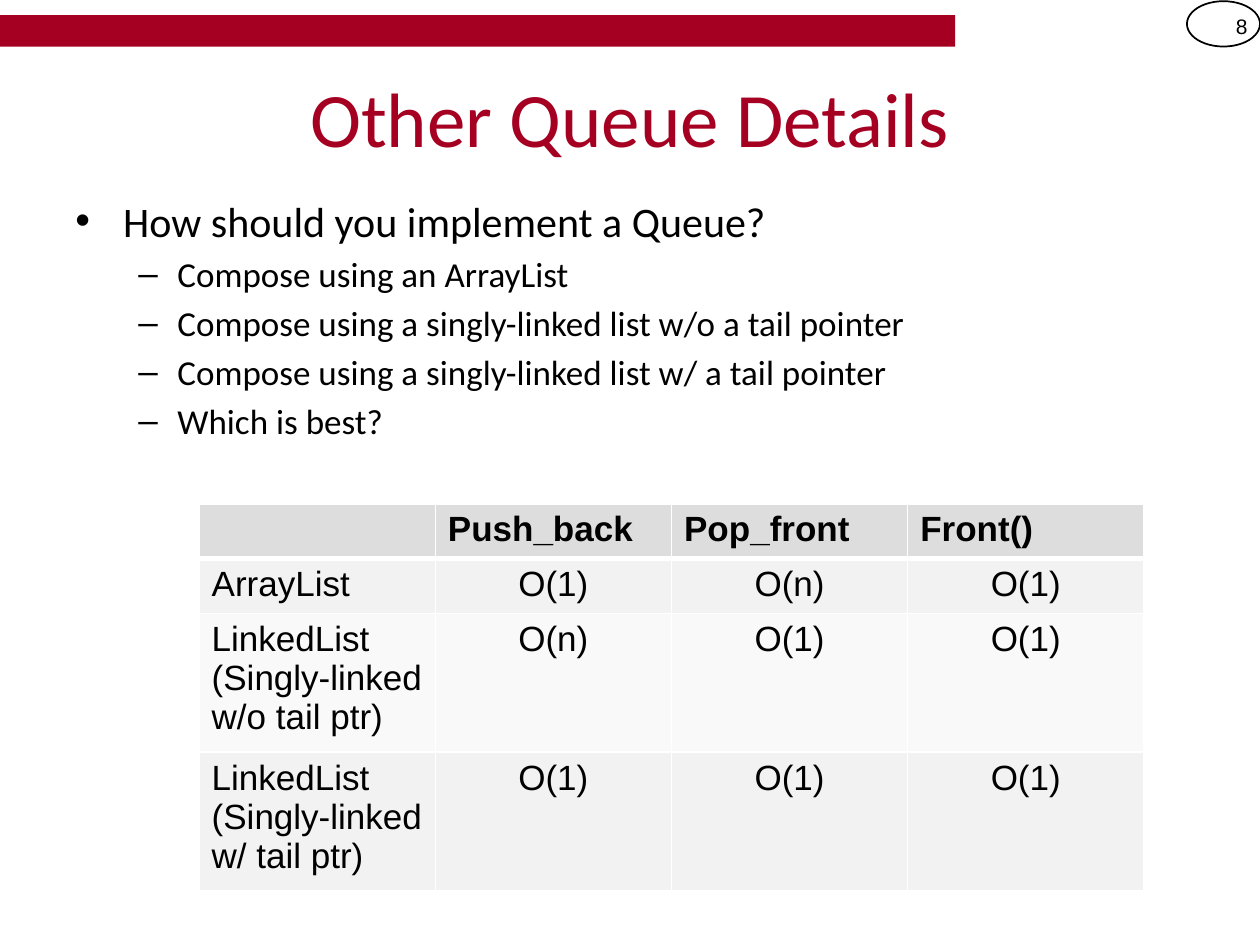
from pptx import Presentation
from pptx.dml.color import RGBColor
from pptx.enum import shapes, text
from pptx.oxml.ns import qn
from pptx.util import Inches, Pt
from lxml import etree

CRIMSON = RGBColor(0xA5, 0x00, 0x21)
BLACK = RGBColor(0x00, 0x00, 0x00)
HEADER_GRAY = RGBColor(0xDD, 0xDD, 0xDD)
ROW_GRAYS = [RGBColor(0xF9, 0xF9, 0xF9), RGBColor(0xF2, 0xF2, 0xF2)]


def style(paragraph, size, name, color=BLACK, bold=False):
    font = paragraph.font
    font.size, font.name, font.bold = Pt(size), name, bold
    font.color.rgb = color


def add_white_border(cell, side, width):
    properties = cell._tc.get_or_add_tcPr()
    line = etree.SubElement(properties, qn(f"a:ln{side}"), w=str(Pt(width)))
    fill = etree.SubElement(line, qn("a:solidFill"))
    etree.SubElement(fill, qn("a:srgbClr"), val="FFFFFF")


prs = Presentation()
prs.slide_width, prs.slide_height = Inches(10), Inches(7.5)
slide = prs.slides.add_slide(prs.slide_layouts[6])

# Top bar and page number
page_number = slide.shapes.add_textbox(Inches(9.42), Inches(0.01), Inches(0.58), Inches(0.4)).text_frame
page_number.word_wrap = True
page_number.vertical_anchor = text.MSO_ANCHOR.MIDDLE
page_number.text = "8"
page_number.paragraphs[0].alignment = text.PP_ALIGN.RIGHT
style(page_number.paragraphs[0], 12, "Arial")

top_bar = slide.shapes.add_shape(
    shapes.MSO_SHAPE.RECTANGLE, 0, Inches(0.12), Inches(7.58), Inches(0.25))
top_bar.shadow.inherit = False
top_bar.fill.solid()
top_bar.fill.fore_color.rgb = CRIMSON
top_bar.line.fill.background()

number_ring = slide.shapes.add_shape(
    shapes.MSO_SHAPE.OVAL, Inches(9.42), Inches(0.01), Inches(0.58), Inches(0.36))
number_ring.shadow.inherit = False
number_ring.fill.background()
number_ring.line.color.rgb = BLACK
number_ring.line.width = Pt(1)

# Title
title = slide.shapes.add_textbox(Inches(0.5), Inches(0.3), Inches(9), Inches(1.25)).text_frame
title.word_wrap = True
title.vertical_anchor = text.MSO_ANCHOR.MIDDLE
title.text = "Other Queue Details"
title.paragraphs[0].alignment = text.PP_ALIGN.CENTER
style(title.paragraphs[0], 44, "Calibri", CRIMSON)

# Question and options
outline = [
    (0, "How should you implement a Queue?"),
    (1, "Compose using an ArrayList"),
    (1, "Compose using a singly-linked list w/o a tail pointer"),
    (1, "Compose using a singly-linked list w/ a tail pointer"),
    (1, "Which is best?"),
]
# Per level: bullet, left margin, hanging indent, text size
LEVELS = [("•", 0.38, 0.38, 24), ("–", 0.81, 0.31, 20)]

body = slide.shapes.add_textbox(Inches(0.5), Inches(1.5), Inches(9), Inches(4.95)).text_frame
body.word_wrap = True
for index, (level, wording) in enumerate(outline):
    bullet, margin, hanging, size = LEVELS[level]
    paragraph = body.add_paragraph() if index else body.paragraphs[0]
    paragraph.text = wording
    paragraph.level = level
    properties = paragraph._p.get_or_add_pPr()
    properties.set("marL", str(Inches(margin)))
    properties.set("indent", str(-Inches(hanging)))
    etree.SubElement(properties, qn("a:buFont"), typeface="Arial")
    etree.SubElement(properties, qn("a:buChar"), char=bullet)
    if index:
        paragraph.space_before = Pt(4)
    style(paragraph, size, "Calibri")

# Cost table
costs = [
    ["", "Push_back", "Pop_front", "Front()"],
    ["ArrayList", "O(1)", "O(n)", "O(1)"],
    ["LinkedList (Singly-linked w/o tail ptr)", "O(n)", "O(1)", "O(1)"],
    ["LinkedList (Singly-linked w/ tail ptr)", "O(1)", "O(1)", "O(1)"],
]
row_heights = [0.43, 0.41, 1.03, 1.03]

cost_table = slide.shapes.add_table(
    len(costs), len(costs[0]), Inches(1.58), Inches(4), Inches(7.5), Inches(sum(row_heights))).table
for row, (height, entries) in enumerate(zip(row_heights, costs)):
    cost_table.rows[row].height = Inches(height)
    is_header = row == 0
    for column, entry in enumerate(entries):
        cell = cost_table.cell(row, column)
        for side in "LRTB":
            under_header = (row, side) in [(0, "B"), (1, "T")]
            add_white_border(cell, side, 3 if under_header else 1)
        cell.fill.solid()
        cell.fill.fore_color.rgb = HEADER_GRAY if is_header else ROW_GRAYS[row % 2]
        cell.text = entry
        paragraph = cell.text_frame.paragraphs[0]
        centered = column > 0 and not is_header
        paragraph.alignment = text.PP_ALIGN.CENTER if centered else text.PP_ALIGN.LEFT
        style(paragraph, 20, "Arial", bold=is_header)

prs.save("out.pptx")
